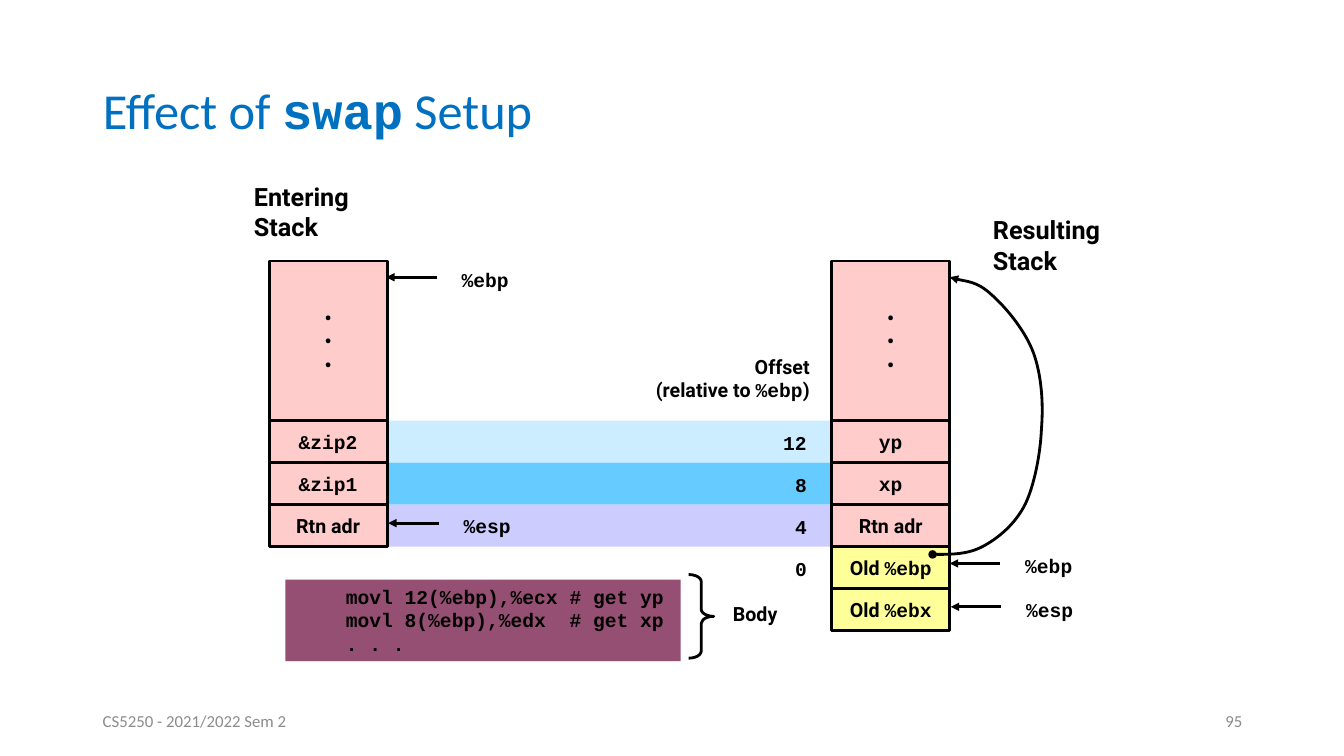
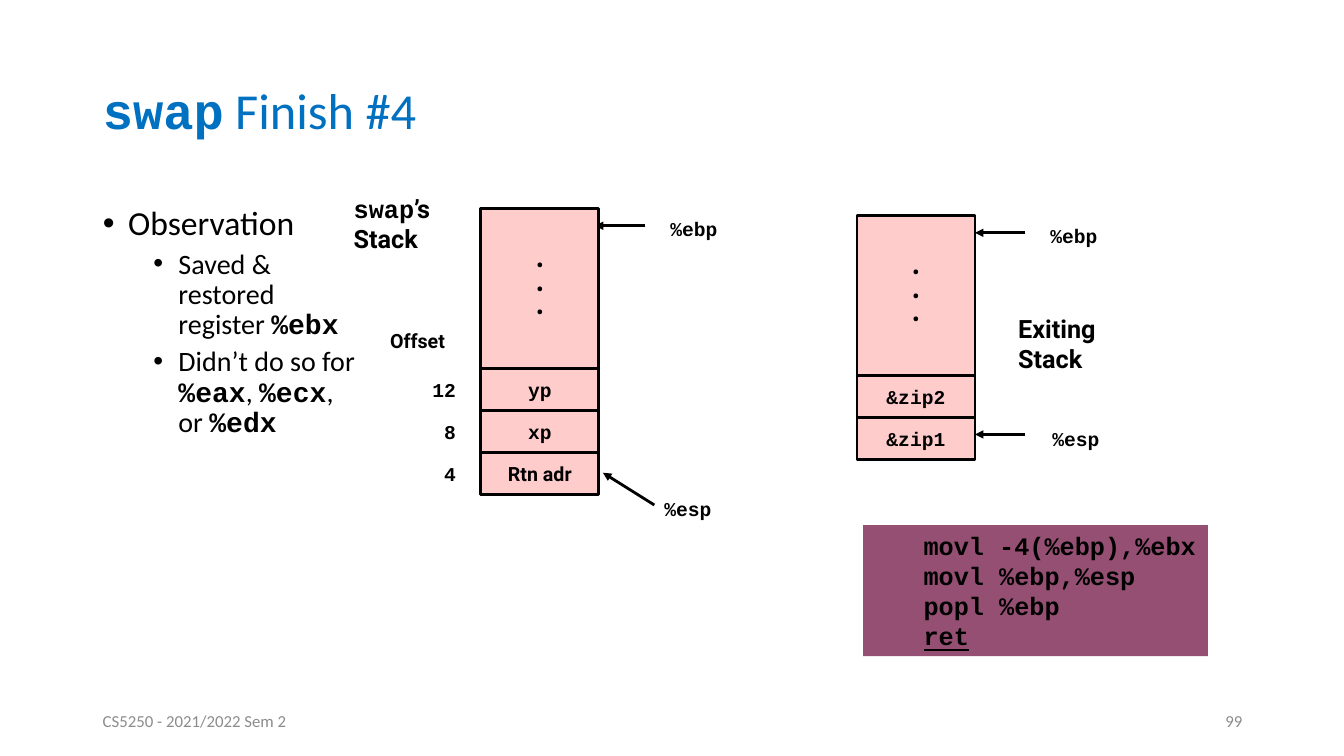
from lxml import etree
from pptx import Presentation
from pptx.dml.color import RGBColor
from pptx.enum import shapes, text
from pptx.oxml.ns import qn
from pptx.util import Inches, Pt

# ---- Shared style ----
BLUE, BLACK, GREY = "0070C0", "000000", "8C8C8C"
PINK, YELLOW, PLUM = "FFCCCC", "FFFF99", "954F72"
SANS, LABEL, CODE = "Calibri", "Roboto", "Courier New"
FOOTER = "CS5250 - 2021/2022 Sem 2"
LEFT, CENTER, RIGHT = text.PP_ALIGN.LEFT, text.PP_ALIGN.CENTER, text.PP_ALIGN.RIGHT
CELL_W, ROW_H, DOTS_H = 1.17, 5 / 12, 19 / 12
OFFSET_W, OFFSET_GAP = 0.75, 0.15
DOTS = ["•"] * 3

# ---- Content: text between backticks is set as code ----
# stack: x, top, cells under the dots, offsets beside them
# label: x, y, width, height, lines, size, alignment
# pointer: register, tip, tail offset from tip, label offset from tip
STRAIGHT = (0.5, 0), (0.65, -0.14)
SLIDES = [
    dict(
        title="Effect of `swap` Setup", number="95",
        bands=(3.83, 4.42, 2.59 + DOTS_H, ["CCECFF", "66CCFF", "CCCCFF"]),
        stacks=[
            (2.67, 2.59, [("`&zip2`", PINK), ("`&zip1`", PINK), ("Rtn adr", PINK)], []),
            (8.25, 2.59, [("`yp`", PINK), ("`xp`", PINK), ("Rtn adr", PINK),
                          ("Old `%ebp`", YELLOW), ("Old `%ebx`", YELLOW)],
             ["12", "8", "4", "0"]),
        ],
        pointers=[
            ("%ebp", (3.83, 2.75), *STRAIGHT), ("%esp", (3.85, 5.19), *STRAIGHT),
            ("%ebp", (9.42, 5.59), *STRAIGHT), ("%esp", (9.43, 6.02), *STRAIGHT),
        ],
        labels=[
            (2.42, 1.75, 1.22, 0.7, ["Entering", "Stack"], 18, LEFT),
            (9.75, 2.08, 1.34, 0.7, ["Resulting", "Stack"], 18, LEFT),
            (6.35, 3.47, 1.78, 0.57, ["Offset", "(relative to `%ebp`)"], 14, RIGHT),
            (7.17, 5.92, 0.69, 0.34, ["Body"], 14, LEFT),
        ],
        code=dict(at=(2.83, 5.75, 3.92, 0.81), size=14, lines=[
            "movl 12(%ebp),%ecx # get yp", "movl 8(%ebp),%edx  # get xp", ". . ."]),
        brace=(6.83, 5.7, 0.25, 0.83),
        curve=[(9.25, 5.5),
               (9.42, 5.5), (9.6, 5.5), (9.75, 5.42),
               (9.9, 5.34), (10.07, 5.2), (10.17, 5),
               (10.26, 4.81), (10.32, 4.5), (10.33, 4.25),
               (10.35, 4), (10.33, 3.72), (10.25, 3.5),
               (10.17, 3.28), (9.97, 3.04), (9.83, 2.92),
               (9.69, 2.79), (9.49, 2.78), (9.42, 2.75)],
    ),
    dict(
        title="`swap` Finish #4", number="99",
        bullets=[(0, "Observation"), (1, "Saved & restored register `%ebx`"),
                 (1, "Didn’t do so for `%eax`, `%ecx`, or `%edx`")],
        stacks=[
            (4.77, 2.07, [("`yp`", PINK), ("`xp`", PINK), ("Rtn adr", PINK)],
             ["12", "8", "4"]),
            (8.5, 2.14, [("`&zip2`", PINK), ("`&zip1`", PINK)], []),
        ],
        pointers=[
            ("%ebp", (5.9, 2.24), *STRAIGHT), ("%ebp", (9.67, 2.31), *STRAIGHT),
            ("%esp", (9.67, 4.31), (0.5, 0), (0.67, -0.12)),
            ("%esp", (5.98, 4.69), (0.51, 0.32), (0.51, 0.19)),
        ],
        labels=[
            (3.41, 1.87, 1.01, 0.7, ["`swap`’s", "Stack"], 18, LEFT),
            (10, 3.06, 1.03, 0.7, ["Exiting", "Stack"], 18, LEFT),
            (3.77, 3.21, 0.76, 0.33, ["Offset"], 14, LEFT),
        ],
        code=dict(at=(8.56, 5.21, 3.42, 1.3), size=18, underlined="ret", lines=[
            "movl -4(%ebp),%ebx", "movl %ebp,%esp", "popl %ebp", "ret"]),
    ),
]


# ---- Helpers ----
def color(value):
    return RGBColor.from_string(value)


def apply(obj, **values):
    for name, value in values.items():
        setattr(obj, name, value)


def inches(values):
    return [Inches(v) for v in values]


def place(sp, at):
    apply(sp, **dict(zip(("left", "top", "width", "height"), inches(at))))


def write(p, markup, size, font=LABEL, ink=BLACK, bold=True, underline=None):
    for i, part in enumerate(markup.split("`")):
        if part:
            r = p.add_run()
            r.text = part
            is_code = i % 2 == 1
            apply(r.font, name=CODE if is_code else font, size=Pt(size),
                  bold=bold or is_code, underline=underline)
            r.font.color.rgb = color(ink)


def paragraphs(tf, lines):
    for i, line in enumerate(lines):
        yield (tf.add_paragraph() if i else tf.paragraphs[0]), line


def fill_text(sp, lines, size, align=LEFT, **style):
    for p, line in paragraphs(sp.text_frame, lines):
        p.alignment = align
        write(p, line, size, **style)


def stroke(sp, head=None, tail=None):
    sp.line.color.rgb = color(BLACK)
    sp.line.width = Pt(2)
    ln = sp.element.spPr.find(qn("a:ln"))
    for tag, kind in (("a:headEnd", head), ("a:tailEnd", tail)):
        if kind:
            etree.SubElement(ln, qn(tag)).set("type", kind)


def box(s, at, fill, outlined=False, kind=shapes.MSO_SHAPE.RECTANGLE):
    sp = s.shapes.add_shape(kind, *inches(at))
    sp.shadow.inherit = False
    if fill:
        sp.fill.solid()
        sp.fill.fore_color.rgb = color(fill)
    else:
        sp.fill.background()
    if outlined:
        stroke(sp)
    else:
        sp.line.fill.background()
    return sp


def label(s, at, lines, size=14, align=LEFT):
    sp = s.shapes.add_textbox(*inches(at))
    apply(sp.text_frame, word_wrap=False,
          auto_size=text.MSO_AUTO_SIZE.SHAPE_TO_FIT_TEXT)
    fill_text(sp, lines, size, align)


# ---- Slide parts ----
def add_title(s, markup):
    sp = s.shapes.title
    place(sp, (0.92, 0.4, 11.5, 1.45))
    sp.text_frame.vertical_anchor = text.MSO_ANCHOR.MIDDLE
    p = sp.text_frame.paragraphs[0]
    apply(p, alignment=LEFT, line_spacing=0.9)
    write(p, markup, 36, SANS, BLUE, False)


def add_footer(s, number):
    for x, words, align in ((0.92, FOOTER, LEFT), (9.42, number, RIGHT)):
        sp = s.shapes.add_textbox(*inches((x, 6.95, 3, 0.4)))
        apply(sp.text_frame, word_wrap=True, vertical_anchor=text.MSO_ANCHOR.MIDDLE)
        fill_text(sp, [words], 12, align, font=SANS, ink=GREY, bold=False)


def add_bullets(s, bullets):
    sp = s.placeholders[1]
    place(sp, (0.92, 2, 2.77, 4.76))
    sp.text_frame.auto_size = text.MSO_AUTO_SIZE.NONE
    for p, (level, markup) in paragraphs(sp.text_frame, bullets):
        pPr = p._p.get_or_add_pPr()
        pPr.set("marL", str(Inches(0.25 + 0.5 * level)))
        pPr.set("indent", str(Inches(-0.25)))
        etree.SubElement(pPr, qn("a:buFont")).set("typeface", "Arial")
        etree.SubElement(pPr, qn("a:buChar")).set("char", "•")
        apply(p, level=level, line_spacing=0.9, space_before=Pt(5 * level))
        write(p, markup, 24 - 4 * level, SANS, bold=False)


def add_bands(s, x, width, top, fills):
    for i, fill in enumerate(fills):
        box(s, (x, top + i * ROW_H, width, ROW_H), fill)


def add_pointer(s, register, tip, tail, label_offset):
    x, y = tip
    c = s.shapes.add_connector(shapes.MSO_CONNECTOR.STRAIGHT,
                               *inches((x + tail[0], y + tail[1], x, y)))
    stroke(c, tail="triangle")
    etree.SubElement(c.element.spPr, qn("a:effectLst"))
    label(s, (x + label_offset[0], y + label_offset[1], 0.67, 0.33), [f"`{register}`"])


def add_stack(s, x, top, cells, offsets):
    first = top + DOTS_H
    parts = [(top, DOTS_H, DOTS, PINK)]
    parts += [(first + i * ROW_H, ROW_H, [words], fill)
              for i, (words, fill) in enumerate(cells)]
    for y, height, lines, fill in parts:
        sp = box(s, (x, y, CELL_W, height), fill, outlined=True)
        apply(sp.text_frame, word_wrap=False, vertical_anchor=text.MSO_ANCHOR.MIDDLE)
        fill_text(sp, lines, 14, CENTER)
    for i, offset in enumerate(offsets):
        at = (x - OFFSET_GAP - OFFSET_W, first + i * ROW_H + 0.05, OFFSET_W, 0.33)
        sp = s.shapes.add_textbox(*inches(at))
        sp.text_frame.word_wrap = True
        fill_text(sp, [f"`{offset}`"], 14, RIGHT)


def add_code(s, at, size, lines, underlined=None):
    tf = box(s, at, PLUM).text_frame
    apply(tf, word_wrap=True, vertical_anchor=text.MSO_ANCHOR.TOP,
          margin_left=Inches(0.6), margin_right=0)
    for p, line in paragraphs(tf, lines):
        p.alignment = LEFT
        write(p, line, size, CODE, underline=line == underlined or None)


def add_curve(s, points):
    start, *rest = [inches(pt) for pt in points]
    builder = s.shapes.build_freeform(*start, scale=1.0)
    builder.add_line_segments(rest, close=False)
    sp = builder.convert_to_shape()
    sp.shadow.inherit = False
    sp.fill.background()
    stroke(sp, head="oval", tail="triangle")
    # Every three points become one Bézier segment
    outline = sp.element.find(".//" + qn("a:path"))
    segments = outline.findall(qn("a:lnTo"))
    for i in range(0, len(segments), 3):
        bezier = etree.SubElement(outline, qn("a:cubicBezTo"))
        for segment in segments[i:i + 3]:
            bezier.append(segment[0])
            outline.remove(segment)


def add_brace(s, at):
    sp = box(s, at, None, outlined=True, kind=shapes.MSO_SHAPE.RIGHT_BRACE)
    sp.adjustments[0] = 0.28


def build(prs, content):
    s = prs.slides.add_slide(prs.slide_layouts[1 if "bullets" in content else 5])
    add_title(s, content["title"])
    if "bullets" in content:
        add_bullets(s, content["bullets"])
    add_footer(s, content["number"])
    if "bands" in content:
        add_bands(s, *content["bands"])
    for pointer in content["pointers"]:
        add_pointer(s, *pointer)
    for stack in content["stacks"]:
        add_stack(s, *stack)
    for x, y, w, h, lines, size, align in content["labels"]:
        label(s, (x, y, w, h), lines, size, align)
    add_code(s, **content["code"])
    if "brace" in content:
        add_brace(s, content["brace"])
    if "curve" in content:
        add_curve(s, content["curve"])


def main():
    prs = Presentation()
    apply(prs, slide_width=Inches(13.33), slide_height=Inches(7.5))
    for content in SLIDES:
        build(prs, content)
    prs.save("out.pptx")


if __name__ == "__main__":
    main()
